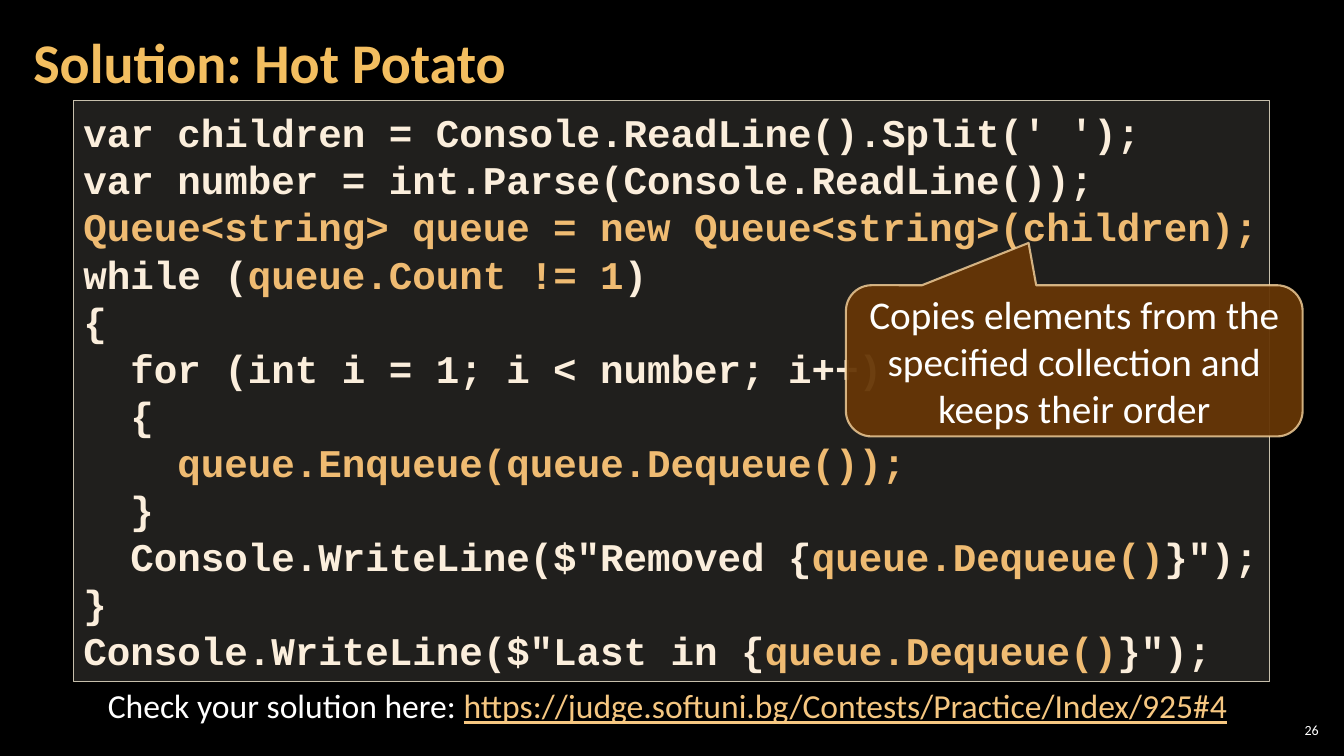
from lxml import etree
from pptx import Presentation
from pptx import util as u
from pptx.dml.color import RGBColor
from pptx.enum import shapes, text
from pptx.oxml import ns

PX = 9144
BLACK = RGBColor(0x00, 0x00, 0x00)
WHITE = RGBColor(0xFF, 0xFF, 0xFF)
GOLD = RGBColor(0xF3, 0xBE, 0x60)
LINK = RGBColor(0xF6, 0xC7, 0x81)
CREAM = RGBColor(0xFB, 0xEE, 0xDC)
AMBER = RGBColor(0xEF, 0xBB, 0x72)
PANEL = RGBColor(0xD9, 0xD5, 0xC7)
PANEL_EDGE = RGBColor(0xC7, 0xBF, 0xAC)
BROWN = RGBColor(0x66, 0x36, 0x06)
BROWN_EDGE = RGBColor(0xF8, 0xD4, 0x9E)

PLAIN_THEN_HIGHLIGHTED = [
    ("var children = Console.ReadLine().Split(' ');",),
    ("var number = int.Parse(Console.ReadLine());",),
    ("", "Queue<string> queue = new Queue<string>(children);"),
    ("while (", "queue.Count != 1", ")"),
    ("{",),
    ("  for (int i = 1; i < number; i++)",),
    ("  {",),
    ("    ", "queue.Enqueue(queue.Dequeue());"),
    ("  }",),
    ('  Console.WriteLine($"Removed {', "queue.Dequeue()", '}");'),
    ("}",),
    ('Console.WriteLine($"Last in {', "queue.Dequeue()", '}");'),
]


def scaled(*lengths):
    """Turn px lengths into EMU."""
    return [u.Emu(length * PX) for length in lengths]


def set_frame(frame, insets, anchor=text.MSO_ANCHOR.MIDDLE):
    """Wrap the text and set its insets (horizontal, vertical) and anchor."""
    across, down = scaled(*insets)
    frame.word_wrap = True
    frame.margin_left = frame.margin_right = across
    frame.margin_top = frame.margin_bottom = down
    frame.vertical_anchor = anchor


def add_run(paragraph, wording, size, colour, font="Calibri", bold=False):
    """Append one formatted run."""
    run = paragraph.add_run()
    run.text = wording
    run.font.name, run.font.size = font, u.Pt(size)
    run.font.color.rgb, run.font.bold = colour, bold
    return run


def set_opacity(fill_format, colour, percent):
    """Fill with a solid colour at the given opacity."""
    fill_format.solid()
    fill_format.fore_color.rgb = colour
    clr = fill_format._xPr.find(".//" + ns.qn("a:srgbClr"))
    etree.SubElement(clr, ns.qn("a:alpha"), val=str(percent * 1000))


def add_panel(slide, kind, box, fill, edge, width):
    """Add a shape with (colour, opacity) pairs for its fill and edge."""
    panel = slide.shapes.add_shape(kind, *scaled(*box))
    panel.shadow.inherit = False
    set_opacity(panel.fill, *fill)
    panel.line.width = u.Pt(width)
    set_opacity(panel.line.fill, *edge)
    return panel


def add_page_number(slide, box):
    """Place the page number."""
    frame = slide.shapes.add_textbox(*scaled(*box)).text_frame
    set_frame(frame, (4, 4))
    frame.paragraphs[0].alignment = text.PP_ALIGN.RIGHT
    add_run(frame.paragraphs[0], "26", 10, WHITE)


def add_title(slide, box):
    """Move and format the title placeholder."""
    title = slide.shapes.title
    title.left, title.top, title.width, title.height = scaled(*box)
    set_frame(title.text_frame, (12, 4))
    heading = title.text_frame.paragraphs[0]
    heading.alignment = text.PP_ALIGN.LEFT
    heading.line_spacing = 0.9
    add_run(heading, "Solution: Hot Potato", 40, GOLD, bold=True)


def add_check_line(slide, box):
    """Place the line with the address for checking the solution."""
    frame = slide.shapes.add_textbox(*scaled(*box)).text_frame
    set_frame(frame, (10, 5), text.MSO_ANCHOR.TOP)
    line = frame.paragraphs[0]
    line.alignment = text.PP_ALIGN.CENTER
    add_run(line, "Check your solution here: ", 24, WHITE)
    address = add_run(line, "https://judge.softuni.bg/Contests/Practice/Index/925#4", 24, LINK)
    address.font.underline = True


def add_code(slide, box):
    """Place the code panel."""
    panel = add_panel(slide, shapes.MSO_SHAPE.RECTANGLE, box, (PANEL, 15), (PANEL_EDGE, 100), 1)
    frame = panel.text_frame
    set_frame(frame, (10, 5))
    for row, pieces in enumerate(PLAIN_THEN_HIGHLIGHTED):
        line = frame.add_paragraph() if row else frame.paragraphs[0]
        line.alignment = text.PP_ALIGN.LEFT
        for index, piece in enumerate(pieces):
            if piece:
                add_run(line, piece, 28, AMBER if index % 2 else CREAM, "Courier New", True)


def add_callout(slide, box):
    """Place the callout that explains the queue constructor."""
    callout = add_panel(slide, shapes.MSO_SHAPE.ROUNDED_RECTANGULAR_CALLOUT, box,
                        (BROWN, 95), (BROWN_EDGE, 80), 1.5)
    for index, value in enumerate((-0.1, -0.78, 0.17)):
        callout.adjustments[index] = value
    set_frame(callout.text_frame, (10, 5))
    remark = callout.text_frame.paragraphs[0]
    remark.alignment = text.PP_ALIGN.CENTER
    add_run(remark, "Copies elements from the specified collection and keeps their order", 28, WHITE)


def main():
    """Build and save the slide."""
    deck = Presentation()
    deck.slide_width, deck.slide_height = scaled(1333, 750)
    slide = deck.slides.add_slide(deck.slide_layouts[5])
    slide.background.fill.solid()
    slide.background.fill.fore_color.rgb = BLACK
    add_page_number(slide, (1265, 714, 47, 21))
    add_title(slide, (21, 4, 1047, 121))
    add_check_line(slide, (83, 675, 1158, 50))
    add_code(slide, (73, 100, 1186, 576))
    add_callout(slide, (839, 283, 453, 150))
    deck.save("out.pptx")


if __name__ == "__main__":
    main()
